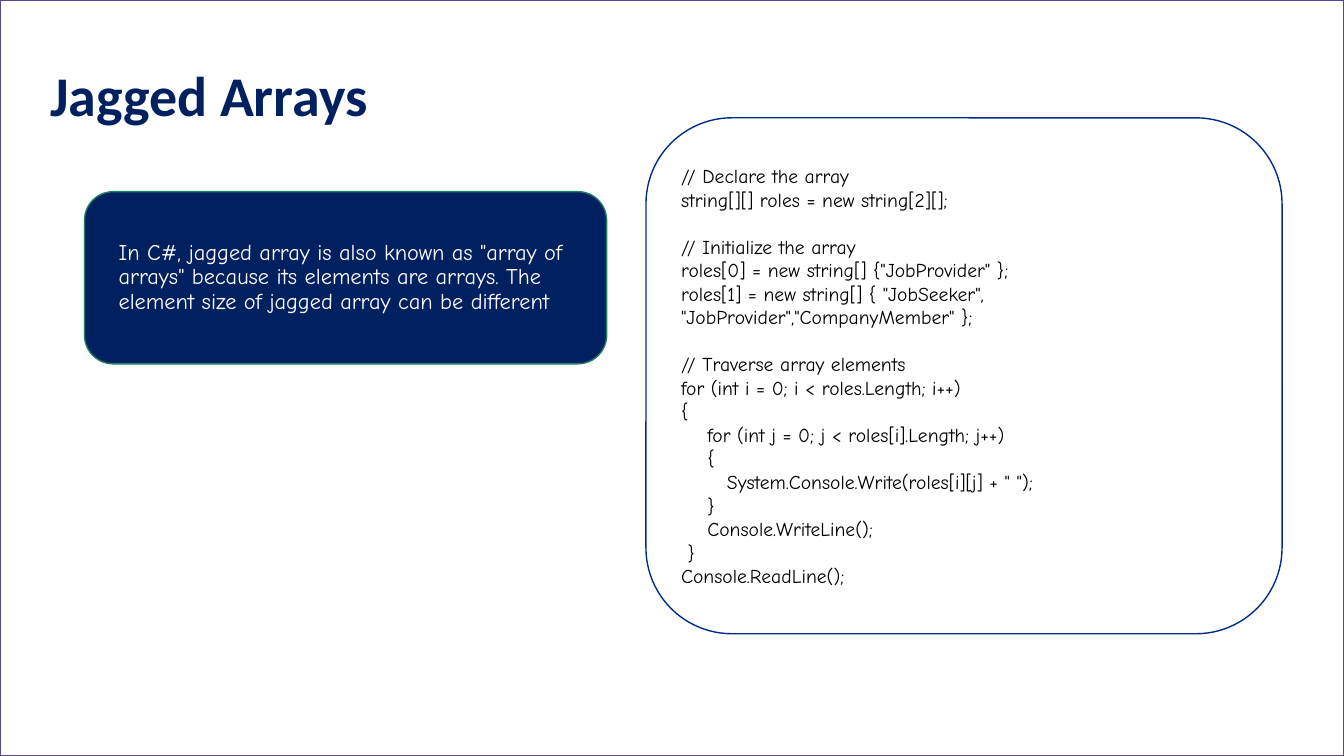
import pptx
import pptx.util
import pptx.dml.color
import pptx.enum.shapes
import pptx.enum.text
import pptx.oxml
import pptx.oxml.ns

Cm = pptx.util.Cm
Pt = pptx.util.Pt
KIND = pptx.enum.shapes.MSO_SHAPE
NAVY = "002060"
NOTE = ('In C#, jagged array is also known as "array of arrays" because its '
        'elements are arrays. The element size of jagged array can be different')
CODE = """// Declare the array
string[][] roles = new string[2][];

// Initialize the array
roles[0] = new string[] {"JobProvider" };
roles[1] = new string[] { "JobSeeker",
"JobProvider","CompanyMember" };

// Traverse array elements
for (int i = 0; i < roles.Length; i++)
{
    for (int j = 0; j < roles[i].Length; j++)
    {
       System.Console.Write(roles[i][j] + " ");
    }
    Console.WriteLine();
 }
Console.ReadLine();"""


def paint(part, tone):
    part.fill.solid()
    part.fill.fore_color.rgb = pptx.dml.color.RGBColor.from_string(tone)


def panel(slide, kind, box, fill, line):
    shape = slide.shapes.add_shape(kind, *map(Cm, box))
    shape.shadow.inherit = False
    paint(shape, fill)
    paint(shape.line, line)
    shape.line.width = Pt(1)
    return shape


def style(par, face, size, tone, bold=False):
    par.alignment = pptx.enum.text.PP_ALIGN.LEFT
    for run in par.runs:
        run.font.name = face
        run.font.size = Pt(size)
        run.font.bold = bold
        paint(run.font, tone)


def setup(shape):
    frame = shape.text_frame
    frame.word_wrap = True
    frame.vertical_anchor = pptx.enum.text.MSO_ANCHOR.MIDDLE
    return frame


def back(slide, box):
    left, top, wide, high = box
    panel(slide, KIND.RECTANGLE, box, "FFFFFF", "5A4690")
    edge, band = 0.89, 0.85
    x, y = left + edge, top + edge
    right, base = left + wide - edge, top + high - edge
    pen = slide.shapes.build_freeform(x, y, scale=Cm(1))
    pen.add_line_segments([
        (right, y), (right, 8.86), (right - band, 9.73),
        (right - band, y + band), (x + band, y + band),
        (x + band, base - band), (24.28, base - band),
        (23.4, base), (x, base)])
    rim = pen.convert_to_shape()
    rim.shadow.inherit = False
    paint(rim, "FEFEFE")
    rim.line.fill.background()
    tint = rim.fill._xPr.find(".//" + pptx.oxml.ns.qn("a:srgbClr"))
    tint.append(pptx.oxml.parse_xml(
        f'<a:alpha {pptx.oxml.ns.nsdecls("a")} val="25000"/>'))


def title(slide, box, text):
    frame = setup(slide.shapes.add_textbox(*map(Cm, box)))
    frame.text = text
    par = frame.paragraphs[0]
    par.line_spacing = 1.1
    style(par, "Calibri", 40, NAVY, True)


def note(slide, box, text):
    frame = setup(panel(slide, KIND.ROUNDED_RECTANGLE, box, NAVY, "1D7F66"))
    frame.text = text
    par = frame.paragraphs[0]
    par.line_spacing = 0.9
    par._p.get_or_add_pPr().set("marL", str(Cm(0.4)))
    style(par, "Comic Neue", 16, "FFFFFF")


def code(slide, box, text):
    frame = setup(panel(slide, KIND.ROUNDED_RECTANGLE, box, "FFFFFF", "012D86"))
    blocks = text.split("\n\n")
    frame.text = "\n".join(blocks)
    heads = [block.split("\n")[0] for block in blocks[1:]]
    for par in frame.paragraphs:
        if par.text in heads:
            par.space_before = Pt(16.8)
        style(par, "Comic Neue", 14, "000000")


def main():
    deck = pptx.Presentation()
    deck.slide_width, deck.slide_height = Cm(33.87), Cm(19.05)
    slide = deck.slides.add_slide(deck.slide_layouts[6])
    back(slide, (0, 0, 33.87, 19.05))
    title(slide, (1.02, 1.17, 18.16, 2.26), "Jagged Arrays")
    note(slide, (2.13, 4.83, 13.16, 4.34), NOTE)
    code(slide, (16.28, 2.97, 16.03, 13), CODE)
    deck.save("out.pptx")


if __name__ == "__main__":
    main()
